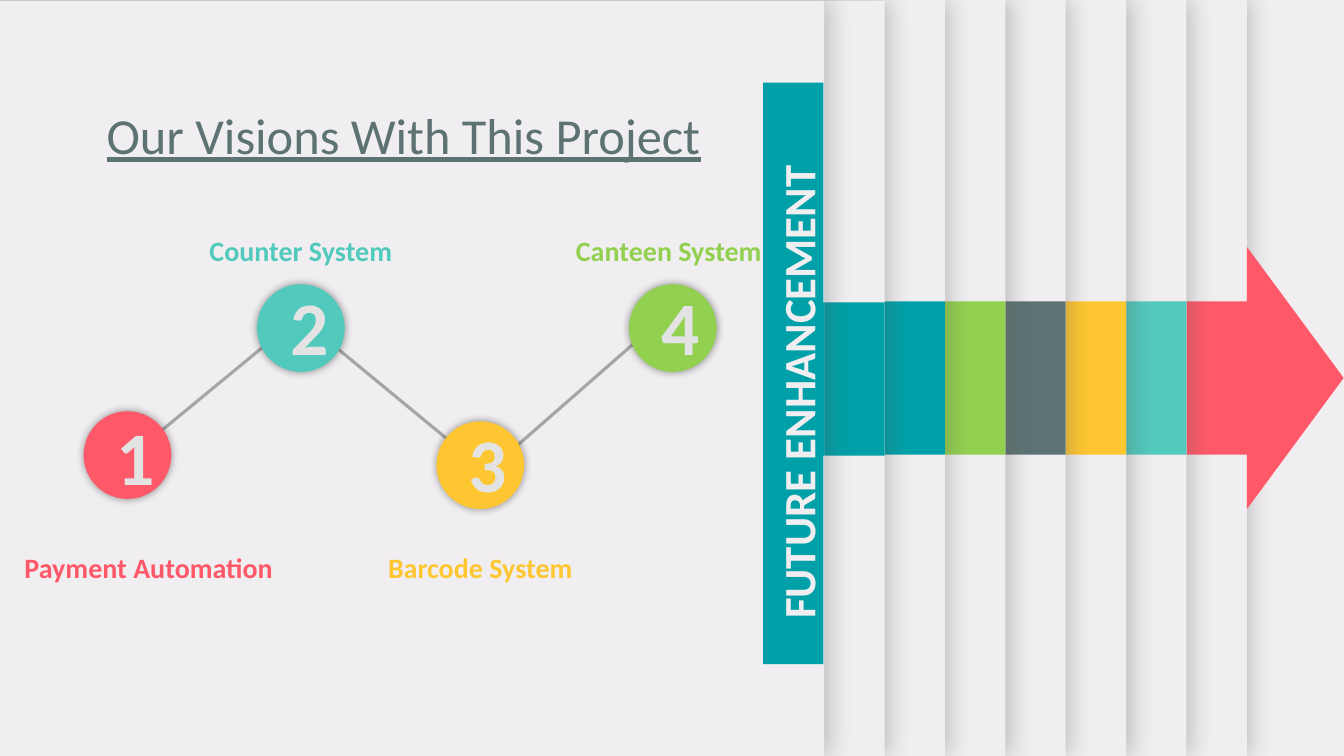
from dataclasses import dataclass

from lxml.etree import SubElement
from pptx import Presentation
from pptx.dml.color import RGBColor
from pptx.enum.shapes import MSO_CONNECTOR as Link, MSO_SHAPE as Shape
from pptx.enum.text import MSO_ANCHOR as Anchor, MSO_AUTO_SIZE as AutoSize, PP_ALIGN as Align
from pptx.oxml.ns import qn
from pptx.util import Inches, Pt


@dataclass(frozen=True)
class Theme:
    font: str = "Calibri"
    paper: str = "F0EEF0"
    coral: str = "FF5969"
    aqua: str = "52C9BD"
    amber: str = "FEC630"
    slate: str = "5D7373"
    green: str = "92D050"
    teal: str = "00A0A8"
    link: str = "A6A6A6"
    digit: str = "E3E3E3"
    label_size: int = 20
    banner_size: int = 32
    title_size: int = 36
    digit_size: int = 54


THEME = Theme()
# The grid has ten columns and ten rows to the inch.
COLUMNS, ROWS = 133.33, 75
FOLD = 5.99
FIRST_EDGE = 123.7
BAND_TOP, BAND_WIDTH, BAND_HEIGHT = 29.9, 6, 15.2
DISC = 8.7

FOLD_COLOURS = [THEME.coral, THEME.aqua, THEME.amber, THEME.slate,
                THEME.green, THEME.teal, THEME.teal, THEME.teal]
# Number, label, colour, disc corner, digit box corner, label box
VISIONS = [
    ("1", "Payment Automation", THEME.coral, (8.3, 40.8), (10.6, 40.2), (0.9, 54.1, 27.7)),
    ("2", "Counter System", THEME.aqua, (25.5, 28.2), (27.8, 27.3), (18.2, 22.7, 23.3)),
    ("3", "Barcode System", THEME.amber, (43.3, 41.8), (45.5, 40.9), (36, 54.1, 23.3)),
    ("4", "Canteen System", THEME.green, (62.4, 28.2), (64.6, 27.3), (54.7, 22.7, 23.3)),
]
LINKS = [(48.8, 46.4, 64, 33.1), (46, 44.9, 32.9, 34.1), (12.4, 45.7, 27.1, 33.6)]


def grid(*cells):
    return [Inches(cell / 10) for cell in cells]


def rgb(code):
    return RGBColor.from_string(code)


def add_shadow(parent, colour, opacity, blur, distance, angle=0):
    effects = SubElement(parent, qn("a:effectLst"))
    outer = SubElement(effects, qn("a:outerShdw"), blurRad=str(Pt(blur)),
                       dist=str(Pt(distance)), dir=str(angle * 60000),
                       algn="ctr", rotWithShape="0")
    tint = SubElement(outer, qn("a:srgbClr"), val=colour)
    SubElement(tint, qn("a:alpha"), val=str(opacity * 1000))
    return effects


def add_block(shapes, kind, box, colour, shadow=None):
    block = shapes.add_shape(kind, *grid(*box))
    block.fill.solid()
    block.fill.fore_color.rgb = rgb(colour)
    block.line.fill.background()
    if shadow:
        add_shadow(block.element.spPr, *shadow)
    else:
        block.shadow.inherit = False
    return block


def write(holder, text, size, colour, bold=True, underline=None):
    frame = holder.text_frame
    frame.word_wrap = True
    frame.auto_size = AutoSize.SHAPE_TO_FIT_TEXT
    frame.vertical_anchor = Anchor.TOP
    paragraph = frame.paragraphs[0]
    paragraph.alignment = Align.CENTER
    run = paragraph.add_run()
    run.text = text
    run.font.name = THEME.font
    run.font.size = Pt(size)
    run.font.bold = bold
    run.font.underline = underline
    run.font.color.rgb = rgb(colour)
    return run


def add_label(shapes, box, text, size, colour):
    label = shapes.add_textbox(*grid(*box))
    return label, write(label, text, size, colour)


def add_fold(shapes, index, colour):
    """Add one paper sheet with its coloured band along the right edge."""
    edge = FIRST_EDGE - index * FOLD
    drop = 0.1 if index >= len(FOLD_COLOURS) - 2 else 0
    fold = shapes.add_group_shape().shapes
    add_block(fold, Shape.RECTANGLE, (edge - COLUMNS, drop, COLUMNS, ROWS),
              THEME.paper, ("595959", 35, 17, 3))
    add_block(fold, Shape.RECTANGLE,
              (edge - BAND_WIDTH, BAND_TOP + drop, BAND_WIDTH, BAND_HEIGHT), colour)
    if index == 0:
        arrowhead = add_block(fold, Shape.ISOSCELES_TRIANGLE, (115.5, 32.7, 26, 9.6), colour)
        arrowhead.rotation = 90


def add_link(shapes, ends):
    link = shapes.add_connector(Link.STRAIGHT, *grid(*ends))
    link.line.color.rgb = rgb(THEME.link)
    link.line.width = Pt(2.25)
    SubElement(link.element.spPr, qn("a:effectLst"))


def add_vision(shapes, number, name, colour, disc, digit_corner, label_box):
    add_block(shapes, Shape.OVAL, (*disc, DISC, DISC), colour, ("000000", 40, 6, 0))
    _, digit = add_label(shapes, (*digit_corner, 4.2, 10.1), number,
                         THEME.digit_size, THEME.digit)
    properties = digit.font.color.rgb and digit._r.get_or_add_rPr()
    effects = add_shadow(properties, "000000", 40, 4, 3, 45)
    properties.find(qn("a:solidFill")).addnext(effects)
    add_label(shapes, (*label_box, 4.4), name, THEME.label_size, colour)


def place_title(shapes):
    title = shapes.title
    title.left, title.top, title.width, title.height = grid(7.6, 9.8, 64.9, 7.1)
    write(title, "Our Visions With This Project", THEME.title_size, THEME.slate,
          bold=False, underline=True)
    # Bring the title in front of the paper sheets.
    title.element.getparent().append(title.element)


def add_banner(shapes):
    add_block(shapes, Shape.RECTANGLE, (75.7, 8.2, 6, 57.7), THEME.teal)
    banner, _ = add_label(shapes, (51.9, 35.7, 54.5, 6.4), "FUTURE ENHANCEMENT",
                          THEME.banner_size, THEME.paper)
    banner.rotation = 270


def main():
    deck = Presentation()
    deck.slide_width, deck.slide_height = grid(COLUMNS, ROWS)
    slide = deck.slides.add_slide(deck.slide_layouts.get_by_name("Title Only"))
    slide.background.fill.solid()
    slide.background.fill.fore_color.rgb = rgb(THEME.paper)
    shapes = slide.shapes

    for index, colour in enumerate(FOLD_COLOURS):
        add_fold(shapes, index, colour)
    for ends in LINKS:
        add_link(shapes, ends)
    for vision in VISIONS:
        add_vision(shapes, *vision)
    place_title(shapes)
    add_banner(shapes)
    deck.save("out.pptx")


if __name__ == "__main__":
    main()
